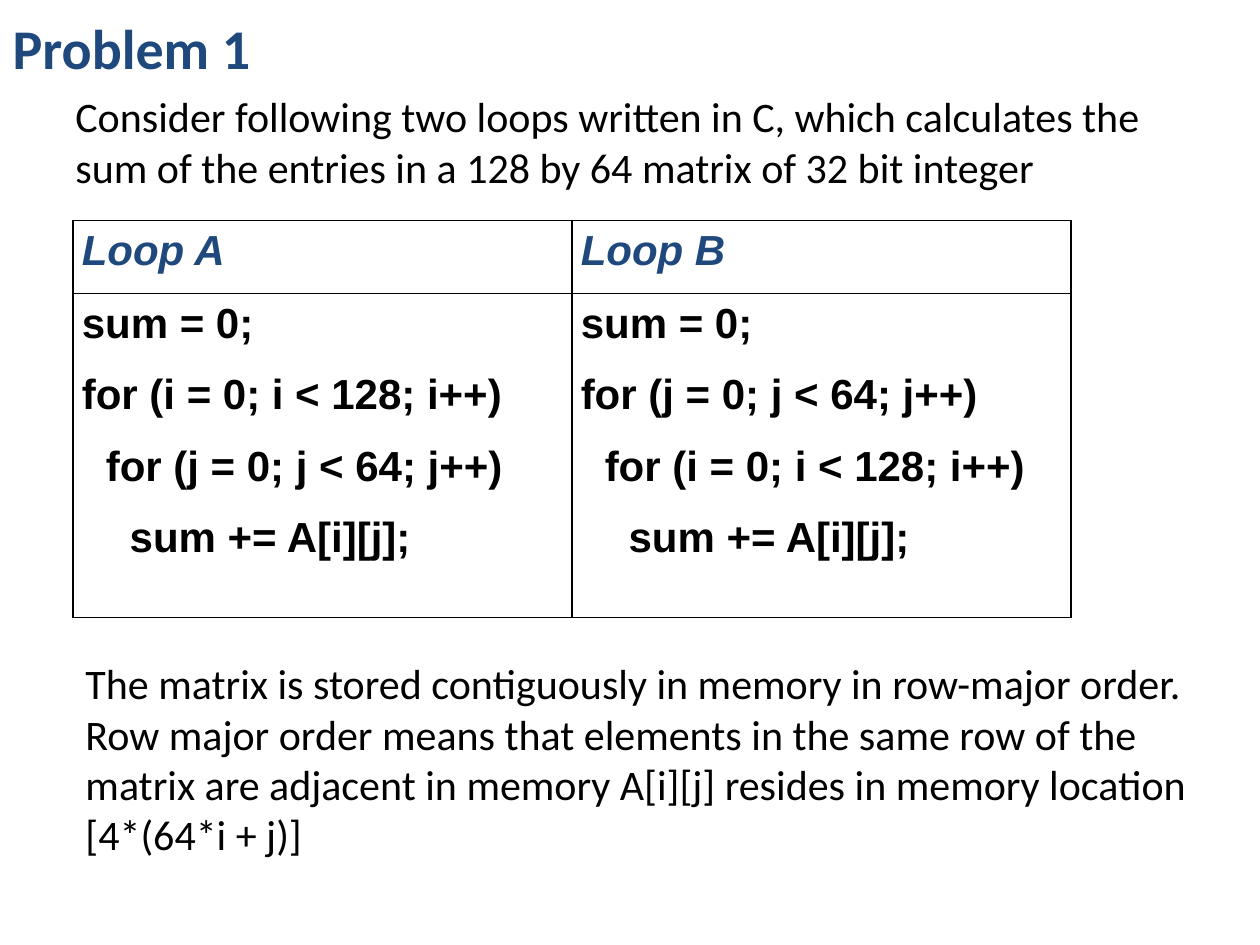
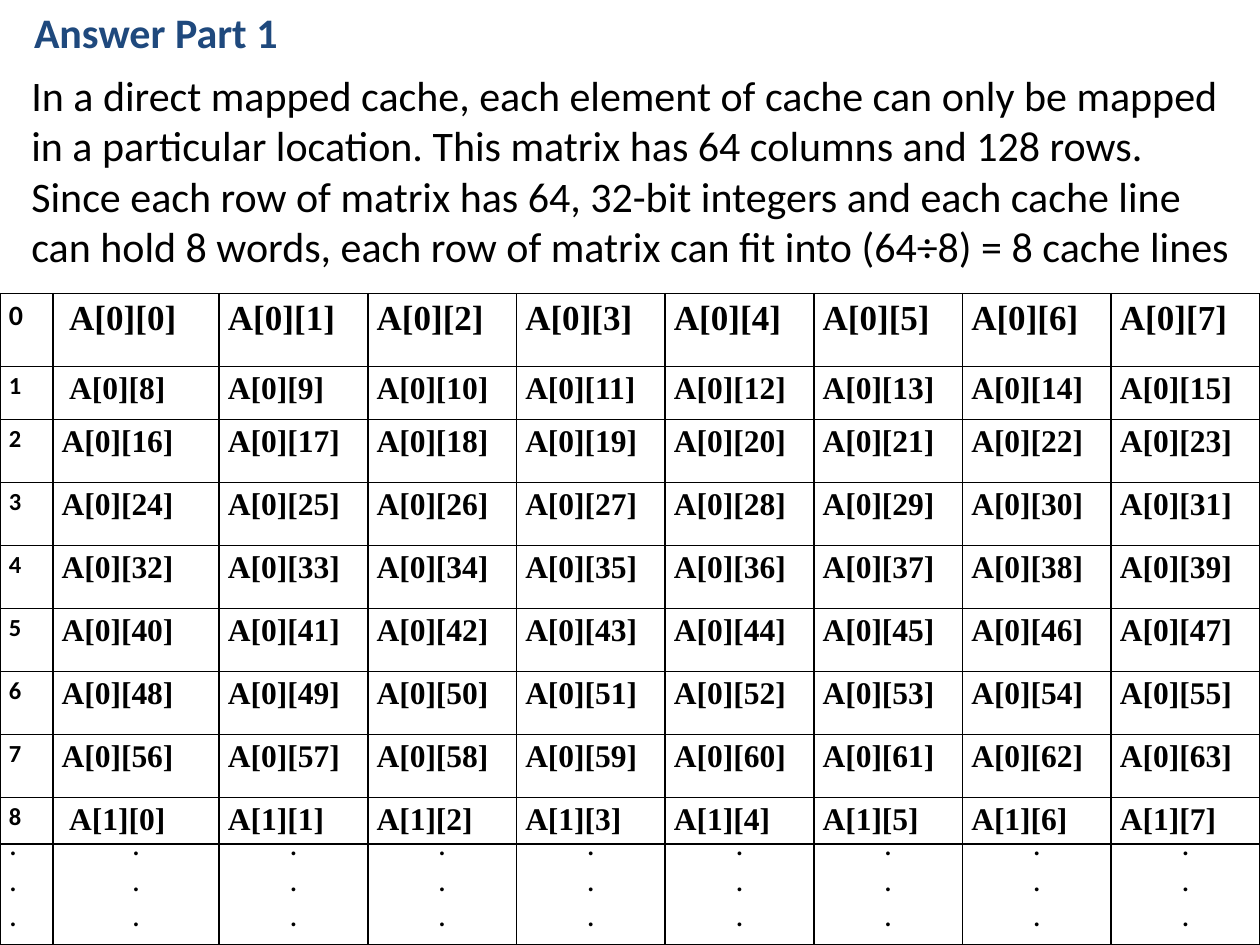
from dataclasses import dataclass

from lxml import etree
from pptx import Presentation
from pptx.dml.color import RGBColor
from pptx.enum.text import MSO_ANCHOR, MSO_AUTO_SIZE, PP_ALIGN
from pptx.oxml.ns import qn
from pptx.util import Inches, Pt

LEFT, CENTER, JUSTIFY = PP_ALIGN.LEFT, PP_ALIGN.CENTER, PP_ALIGN.JUSTIFY
MIDDLE = MSO_ANCHOR.MIDDLE
NO_FIT, GROW = MSO_AUTO_SIZE.NONE, MSO_AUTO_SIZE.SHAPE_TO_FIT_TEXT
TITLE_ONLY = 5


@dataclass(frozen=True)
class Theme:
    """Colours, fonts and type sizes shared by the slides."""
    accent: str = "1F497D"
    ink: str = "000000"
    body_font: str = "Calibri"
    code_font: str = "Arial"
    entry_font: str = "Times New Roman"
    dot_font: str = "Courier New"
    title: int = 32
    body: int = 24
    first_entry: int = 20
    entry: int = 18
    first_index: int = 16
    index: int = 14
    dot: int = 8


THEME = Theme()
CODE_STEP = 0.19
ENTRY_INDENT = 0.06
PER_LINE = 8
COLUMNS = 64


def add_run(p, text, size, font=THEME.body_font, color=THEME.ink, bold=False, italic=False):
    """Add one formatted run to a paragraph."""
    r = p.add_run()
    r.text = text
    r.font.size, r.font.name = Pt(size), font
    r.font.bold, r.font.italic = bold, italic
    r.font.color.rgb = RGBColor.from_string(color)


def new_paragraph(tf, first):
    """Return the empty first paragraph or a further one."""
    return tf.paragraphs[0] if first else tf.add_paragraph()


def add_title_slide(prs, title, box, size):
    """Add a slide and place its title."""
    s = prs.slides.add_slide(prs.slide_layouts[TITLE_ONLY])
    sp = s.shapes.title
    sp.left, sp.top, sp.width, sp.height = [Inches(v) for v in box]
    tf = sp.text_frame
    tf.auto_size, tf.vertical_anchor = NO_FIT, MIDDLE
    p = tf.paragraphs[0]
    p.alignment = LEFT
    add_run(p, title, size, color=THEME.accent, bold=True)
    return s


def add_body(s, box, paragraphs, wrap=True):
    """Add body text, given as a list of lines for each paragraph."""
    tf = s.shapes.add_textbox(*[Inches(v) for v in box]).text_frame
    tf.word_wrap, tf.auto_size = wrap, GROW
    for i, lines in enumerate(paragraphs):
        p = new_paragraph(tf, i == 0)
        for j, line in enumerate(lines):
            if j:
                p.add_line_break()
            add_run(p, line, THEME.body)


def add_grid(s, left, top, widths, heights):
    """Add a plain table with black borders and return it."""
    box = [Inches(v) for v in (left, top, sum(widths), sum(heights))]
    table = s.shapes.add_table(len(heights), len(widths), *box).table
    table.first_row = table.horz_banding = False
    for column, width in zip(table.columns, widths):
        column.width = Inches(width)
    for row, height in zip(table.rows, heights):
        row.height = Inches(height)
    for cell in table.iter_cells():
        cell.margin_left = cell.margin_right = Inches(0.07)
        cell.margin_top = cell.margin_bottom = 0
        add_borders(cell)
        cell.fill.background()
    return table


def add_borders(cell):
    """Draw a thin line on all four sides of a cell."""
    tc_pr = cell._tc.get_or_add_tcPr()
    for side in ("lnL", "lnR", "lnT", "lnB"):
        ln = etree.SubElement(tc_pr, qn(f"a:{side}"), w=str(Pt(1)))
        fill = etree.SubElement(ln, qn("a:solidFill"))
        etree.SubElement(fill, qn("a:srgbClr"), val=THEME.ink)


def fill_cell(cell, lines, size, align=LEFT, before=0, after=10, **font):
    """Write (text, indent) lines into a cell."""
    for i, (text, indent) in enumerate(lines):
        p = new_paragraph(cell.text_frame, i == 0)
        p.alignment, p.line_spacing = align, 1.15
        p.space_before, p.space_after = Pt(before), Pt(after)
        if indent:
            p._p.get_or_add_pPr().set("marL", str(Inches(indent)))
        add_run(p, text, size, **font)


def add_loops(s):
    """Add the table that compares the two loops."""
    i_loop, j_loop = "for (i = 0; i < 128; i++)", "for (j = 0; j < 64; j++)"
    loops = {"Loop A": (i_loop, j_loop), "Loop B": (j_loop, i_loop)}
    table = add_grid(s, 0.58, 1.75, [3.96] * 2, [0.58, 2.57])
    for c, (name, (outer, inner)) in enumerate(loops.items()):
        fill_cell(table.cell(0, c), [(name, 0)], THEME.body, JUSTIFY, 12, 3,
                  font=THEME.code_font, color=THEME.accent, bold=True, italic=True)
        code = [("sum = 0;", 0), (outer, 0), (inner, CODE_STEP),
                ("sum += A[i][j];", 2 * CODE_STEP)]
        fill_cell(table.cell(1, c), code, THEME.body, font=THEME.code_font, bold=True)


def add_cache_lines(s):
    """Add the table of matrix entries held by each cache line."""
    heights = [0.58, 0.42] + [0.5] * 6 + [0.37, 0.8]
    table = add_grid(s, 0, 2.33, [0.42, 1.32] + [1.18] * 7, heights)
    last = len(heights) - 1
    for line in range(last):
        index_size, entry_size = ((THEME.index, THEME.entry) if line
                                  else (THEME.first_index, THEME.first_entry))
        fill_cell(table.cell(line, 0), [(str(line), 0)], index_size, bold=True)
        for word in range(PER_LINE):
            row, column = divmod(line * PER_LINE + word, COLUMNS)
            indent = ENTRY_INDENT if word == 0 and column < 10 else 0
            fill_cell(table.cell(line, word + 1), [(f"A[{row}][{column}]", indent)],
                      entry_size, font=THEME.entry_font, bold=True)
    for c in range(PER_LINE + 1):
        fill_cell(table.cell(last, c), [("•", 0)] * 3, THEME.dot,
                  CENTER if c else LEFT, font=THEME.dot_font)


def build_problem(prs):
    """Build the slide that states the problem."""
    s = add_title_slide(prs, "Problem 1", (0, 0, 9, 0.75), THEME.title)
    add_loops(s)
    add_body(s, (0.5, 0.67, 9.17, 1.31), [[
        "Consider following two loops written in C, which calculates the sum of "
        "the entries in a 128 by 64 matrix of 32 bit integer"]])
    add_body(s, (0.58, 5.17, 9.08, 1.72), [[
        "The matrix is stored contiguously in memory in row-major order. Row major "
        "order means that elements in the same row of the matrix are adjacent in "
        "memory A[i][j] resides in memory location [4*(64*i + j)]"]])


def build_answer(prs):
    """Build the slide that answers the first part."""
    s = add_title_slide(prs, "Answer Part 1", (0.17, 0, 2.15, 0.5), THEME.body)
    s.shapes.title.text_frame.word_wrap = False
    add_body(s, (0.15, 0.5, 9.85, 1.72), [
        ["In a direct mapped cache, each element of cache can only be mapped"],
        ["in a particular location. This matrix has 64 columns and 128 rows.",
         "Since each row of matrix has 64, 32-bit integers and each cache line"],
        ["can hold 8 words, each row of matrix can fit into (64÷8) = 8 cache lines"],
    ], wrap=False)
    add_cache_lines(s)


def main():
    """Build and save the presentation."""
    prs = Presentation()
    prs.slide_width, prs.slide_height = Inches(10), Inches(7.5)
    build_problem(prs)
    build_answer(prs)
    prs.save("out.pptx")


main()
